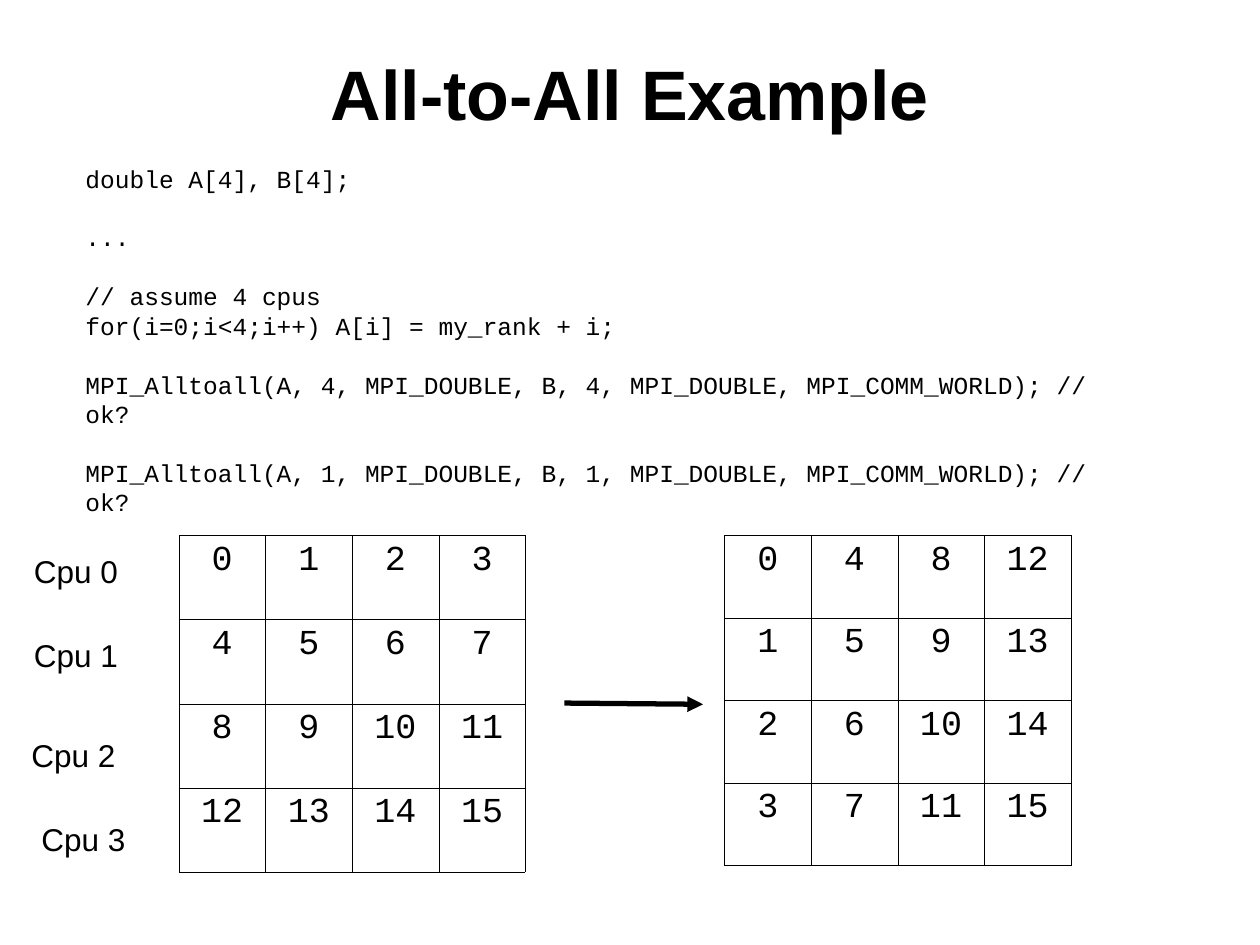
"""Build the All-to-All example slide."""
from lxml import etree
from pptx import Presentation
from pptx import util as u
from pptx.dml.color import RGBColor
from pptx.enum import shapes, text
from pptx.oxml import parse_xml
from pptx.oxml.ns import nsdecls, qn

COLORS = {"ink": "000000"}
INK = RGBColor.from_string(COLORS["ink"])
SIZE = 4
LINE_GAP = 16.8


def write(tf, content, size, font="Arial", bold=False, align=None, before=0, spacing=None, new=False):
    p = tf.add_paragraph() if new else tf.paragraphs[0]
    if align is not None:
        p.alignment = align
    if before:
        p.space_before = u.Pt(before)
    if spacing:
        p.line_spacing = spacing
    r = p.add_run()
    r.text = content
    r.font.size, r.font.name, r.font.bold = u.Pt(size), font, bold
    r.font.color.rgb = INK


def add_matrix(s, left, top, width, height, value):
    box = [u.Inches(n) for n in (left, top, width, height)]
    table = s.shapes.add_table(SIZE, SIZE, *box).table
    table.first_row = table.horz_banding = False
    for i in range(SIZE):
        table.columns[i].width = u.Inches(width / SIZE)
        table.rows[i].height = u.Inches(height / SIZE)
        for j in range(SIZE):
            cell = table.cell(i, j)
            tcPr = cell._tc.get_or_add_tcPr()
            for side in ("lnL", "lnR", "lnT", "lnB"):
                tcPr.append(parse_xml(
                    f'<a:{side} {nsdecls("a")} w="762"><a:solidFill>'
                    f'<a:srgbClr val="{COLORS["ink"]}"/></a:solidFill></a:{side}>'))
            cell.fill.background()
            write(cell.text_frame, str(value(i, j)), 20, "Courier New",
                  align=text.PP_ALIGN.CENTER, before=5, spacing=0.89)


prs = Presentation()
prs.slide_width, prs.slide_height = u.Inches(10), u.Inches(7.5)
W, H = prs.slide_width, prs.slide_height
s = prs.slides.add_slide(prs.slide_layouts[5])

title = s.shapes.title
title.left, title.top = int(W * 0.05), int(H * 0.04)
title.width, title.height = int(W * 0.9), u.Inches(0.87)
title.text_frame.vertical_anchor = text.MSO_ANCHOR.MIDDLE
write(title.text_frame, "All-to-All Example", 40, bold=True, align=text.PP_ALIGN.CENTER)

add_matrix(s, 1.42, 4.25, 2.75, 2.67, lambda i, j: SIZE * i + j)

code = s.shapes.add_textbox(u.Inches(0.58), u.Inches(1.25), u.Inches(8.58), u.Inches(3.14))
code.text_frame.word_wrap = True
CODE_LINES = [
    ("double A[4], B[4];", 0),
    ("...", LINE_GAP),
    ("// assume 4 cpus", LINE_GAP),
    ("for(i=0;i<4;i++) A[i] = my_rank + i;", 0),
    ("MPI_Alltoall(A, 4, MPI_DOUBLE, B, 4, MPI_DOUBLE, MPI_COMM_WORLD); // ok?", LINE_GAP),
    ("MPI_Alltoall(A, 1, MPI_DOUBLE, B, 1, MPI_DOUBLE, MPI_COMM_WORLD); // ok?", LINE_GAP),
]
for n, (line, gap) in enumerate(CODE_LINES):
    write(code.text_frame, line, 14, "Courier New", before=gap, new=n > 0)

add_matrix(s, 5.75, 4.25, 2.75, 2.62, lambda i, j: SIZE * j + i)

arrow = s.shapes.add_connector(shapes.MSO_CONNECTOR.STRAIGHT, u.Inches(4.48), u.Inches(5.58),
                               u.Inches(5.58), u.Inches(5.59))
arrow.line.color.rgb = INK
arrow.line.width = u.Pt(3)
etree.SubElement(arrow.line._get_or_add_ln(), qn("a:tailEnd"), type="triangle")
etree.SubElement(arrow._element.spPr, qn("a:effectLst"))

for n, (left, top) in enumerate([(0.17, 4.33), (0.17, 5), (0.15, 5.79), (0.23, 6.46)]):
    label = s.shapes.add_textbox(u.Inches(left), u.Inches(top), u.Inches(0.88), u.Inches(0.4))
    label.text_frame.word_wrap = False
    label.text_frame.auto_size = text.MSO_AUTO_SIZE.SHAPE_TO_FIT_TEXT
    write(label.text_frame, f"Cpu {n}", 18)

prs.save("out.pptx")
